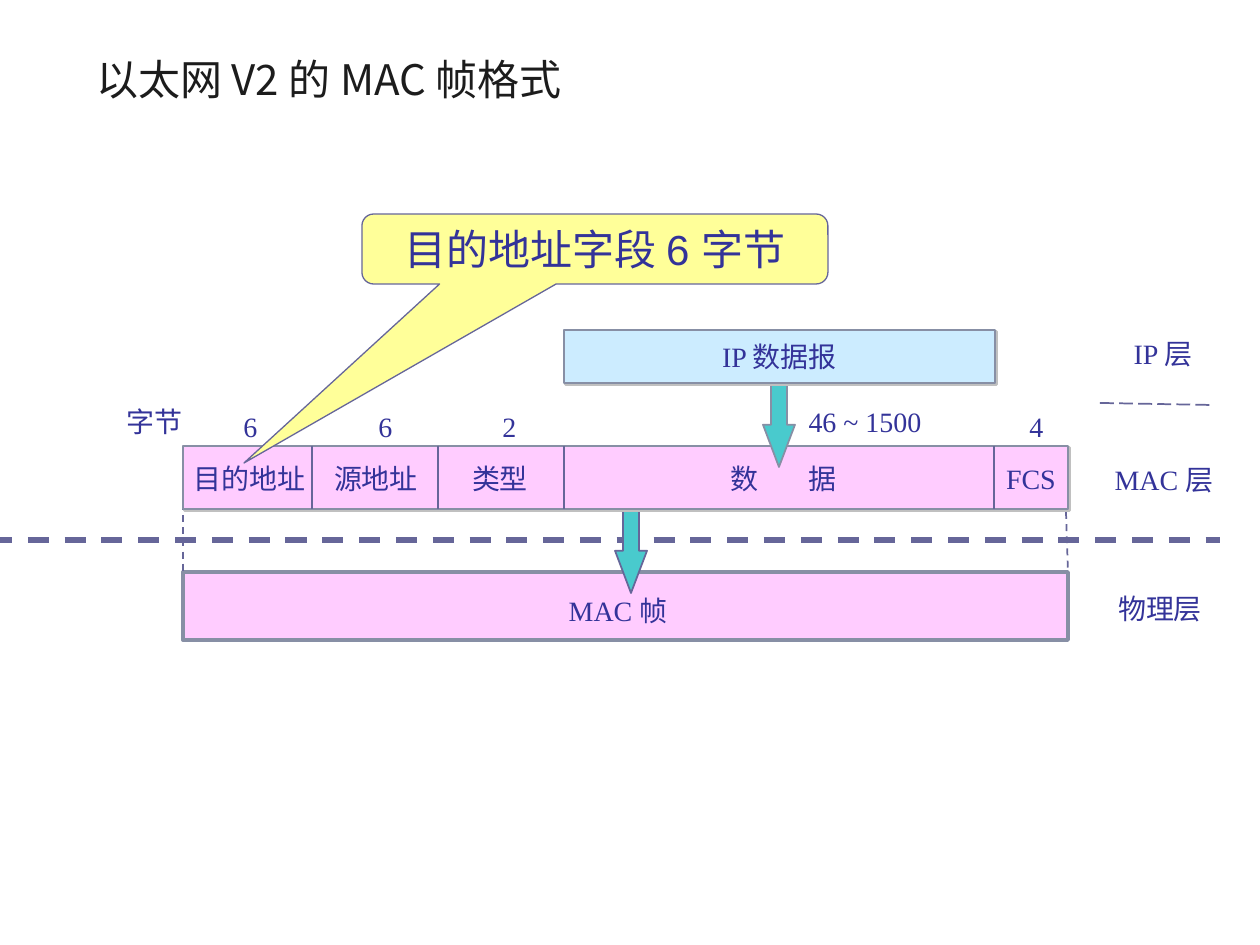
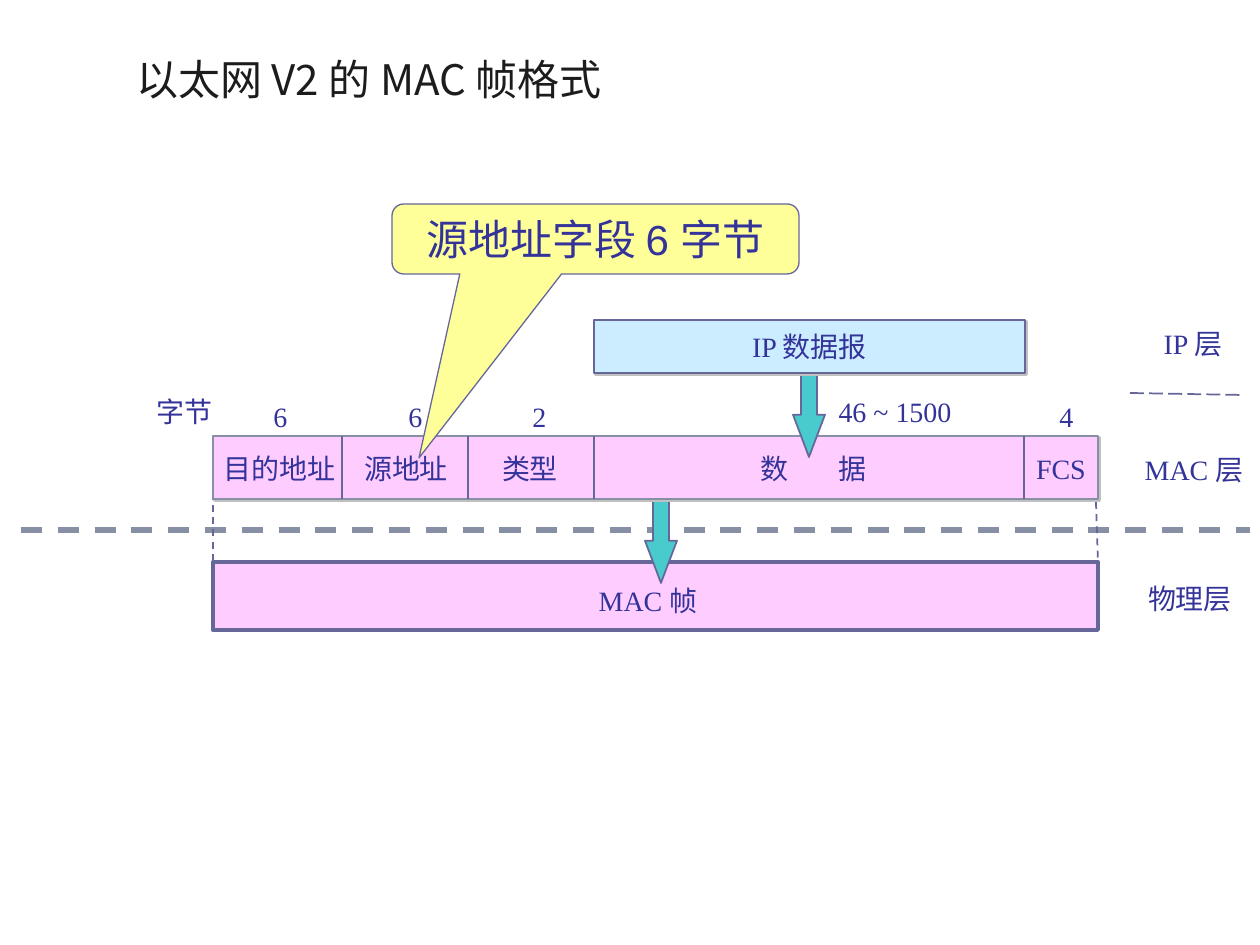
from dataclasses import dataclass

from lxml import etree
from pptx import Presentation
from pptx import util as u
from pptx.dml.color import RGBColor
from pptx.enum import dml, shapes, text
from pptx.oxml.ns import qn

SCALE = 914400 / 126
SHAPE, DASH = shapes.MSO_SHAPE, dml.MSO_LINE
LEFT, CENTER = text.PP_ALIGN.LEFT, text.PP_ALIGN.CENTER
TOP, MIDDLE = text.MSO_ANCHOR.TOP, text.MSO_ANCHOR.MIDDLE


@dataclass(frozen=True)
class Theme:
    ink: str = "333399"
    title: str = "1C1C1C"
    slate: str = "666699"
    grey: str = "878FA5"
    shadow: str = "C0C0C0"
    pink: str = "FFCCFF"
    blue: str = "CCECFF"
    yellow: str = "FFFF99"
    teal: str = "49CACD"
    serif: str = "Times New Roman"
    sans: str = "Arial"
    cjk: str = "Noto Sans CJK SC"
    small: int = 16
    large: int = 24


def px(n):
    return u.Emu(round(n * SCALE))


def rgb(value):
    return RGBColor.from_string(value)


def set_all(obj, values):
    for name, value in values.items():
        setattr(obj, name, value)


class Board:
    """Draws styled elements on the current slide, offset from its origin."""

    def __init__(self, prs, theme):
        self.prs, self.t = prs, theme

    def new_slide(self, dx, dy):
        self.s = self.prs.slides.add_slide(self.prs.slide_layouts[6])
        self.dx, self.dy = dx, dy

    def place(self, x, y, w, h):
        return px(x + self.dx), px(y + self.dy), px(w), px(h)

    def put_text(self, sp, words, font, size, color, align=CENTER, anchor=TOP, wrap=False):
        tf = sp.text_frame
        set_all(tf, {"word_wrap": wrap, "vertical_anchor": anchor,
                     "auto_size": text.MSO_AUTO_SIZE.NONE,
                     "margin_left": u.Inches(0.1), "margin_right": u.Inches(0.1),
                     "margin_top": u.Inches(0.05), "margin_bottom": u.Inches(0.05)})
        p = tf.paragraphs[0]
        p.alignment = align
        r = p.add_run()
        r.text = words
        set_all(r.font, {"name": font, "size": u.Pt(size)})
        r.font.color.rgb = rgb(color)
        etree.SubElement(r._r.get_or_add_rPr(), qn("a:ea"), typeface=self.t.cjk)
        return p

    def title(self, words, x):
        sp = self.s.shapes.add_textbox(px(x), px(26), px(1074), px(106))
        self.put_text(sp, words, self.t.cjk, self.t.large, self.t.title, LEFT, MIDDLE, True)

    def label(self, words, x, y, w, tab=None):
        sp = self.s.shapes.add_textbox(*self.place(x, y, w, 45))
        p = self.put_text(sp, words, self.t.serif, self.t.small, self.t.ink,
                          LEFT if tab else CENTER, wrap=bool(tab))
        if tab:
            tabs = etree.SubElement(p._p.get_or_add_pPr(), qn("a:tabLst"))
            etree.SubElement(tabs, qn("a:tab"), pos=str(px(tab)), algn="l")

    def box(self, x, y, w, h, fill, line, width, kind=SHAPE.RECTANGLE):
        sp = self.s.shapes.add_shape(kind, *self.place(x, y, w, h))
        sp.shadow.inherit = False
        sp.fill.solid()
        sp.fill.fore_color.rgb = rgb(fill)
        sp.line.color.rgb = rgb(line)
        sp.line.width = u.Pt(width)
        return sp

    def raised_box(self, *args):
        sp = self.box(*args)
        effects = sp._element.spPr.find(qn("a:effectLst"))
        shadow = etree.SubElement(effects, qn("a:outerShdw"), dist=str(u.Pt(1.4)),
                                  dir="2700000", algn="ctr", rotWithShape="0")
        etree.SubElement(shadow, qn("a:srgbClr"), val=self.t.shadow)
        return sp

    def arrow(self, x, y, line):
        sp = self.box(x, y, 32, 84, self.t.teal, line, 1, SHAPE.DOWN_ARROW)
        sp.adjustments[0], sp.adjustments[1] = 0.5, 1.32

    def rule(self, x1, y1, x2, y2, color, width=1, dash=None):
        x, y, w, h = self.place(x1, y1, x2 - x1, y2 - y1)
        cn = self.s.shapes.add_connector(shapes.MSO_CONNECTOR.STRAIGHT, x, y, x + w, y + h)
        cn.line.color.rgb = rgb(color)
        set_all(cn.line, {"width": u.Pt(width), "dash_style": dash})
        etree.SubElement(cn._element.spPr, qn("a:effectLst"))

    def callout(self, words, x, w, tip_x, tip_y):
        y, h = 214, 70
        sp = self.box(x, y, w, h, self.t.yellow, self.t.slate, 0.75,
                      SHAPE.ROUNDED_RECTANGULAR_CALLOUT)
        sp.adjustments[0] = (tip_x - x) / w - 0.5
        sp.adjustments[1] = (tip_y - y) / h - 0.5
        self.put_text(sp, words, self.t.sans, self.t.large, self.t.ink, wrap=True)


def draw_frame(b, divider, outline):
    t = b.t
    left, right, top, bottom = 183, 1068, 446, 509
    b.rule(-9, 540, 1220, 540, divider, 3, DASH.DASH)
    b.box(left, 572, right - left, 68, t.pink, outline, 2.25)
    b.label("MAC 帧", 553, 587, 130)
    for layer, x, y, w in (("物理层", 1106, 585, 108), ("MAC 层", 1099, 456, 130),
                           ("IP 层", 1117, 330, 92)):
        b.label(layer, x, y, w)
    b.rule(left, 503, left, 573, t.slate, dash=DASH.DASH)
    b.rule(1066, 512, right, 572, t.slate, dash=DASH.DASH)
    b.rule(1100, 403, 1212, 405, t.slate, dash=DASH.LONG_DASH)

    b.arrow(615, 509, t.slate)
    b.raised_box(left, top, right - left, bottom - top, t.pink, t.grey, 1.5)
    for x in (312, 438, 564, 994):
        b.rule(x, top, x, bottom, t.slate)
    for field, x, w in (("目的地址", 181, 137), ("源地址", 322, 108),
                        ("类型", 460, 80), ("FCS", 994, 74)):
        b.label(field, x, 455, w)
    b.label("数\t据", 718, 455, 140, tab=78)
    for size, x in (("6", 231), ("6", 366), ("2", 490), ("4", 1017)):
        b.label(size, x, 403, 39)
    b.label("字节", 114, 398, 81)
    b.label("46 ~ 1500", 796, 398, 138)

    b.arrow(763, 383, outline)
    datagram = b.raised_box(564, 330, 431, 53, t.blue, outline, 1.5)
    b.put_text(datagram, "IP 数据报", t.serif, t.small, t.ink, anchor=MIDDLE)


def main():
    prs = Presentation()
    prs.slide_width, prs.slide_height = px(1260), px(945)
    t = Theme()
    b = Board(prs, t)
    for origin, title_x, divider, outline, note in (
            ((0, 0), 84, t.slate, t.grey, ("目的地址字段 6 字节", 362, 466, 244, 463)),
            ((30, -10), 124, t.grey, t.slate, ("源地址字段 6 字节", 362, 407, 389, 468))):
        b.new_slide(*origin)
        draw_frame(b, divider, outline)
        b.title("以太网 V2 的 MAC 帧格式", title_x)
        b.callout(*note)
    prs.save("out.pptx")


if __name__ == "__main__":
    main()
